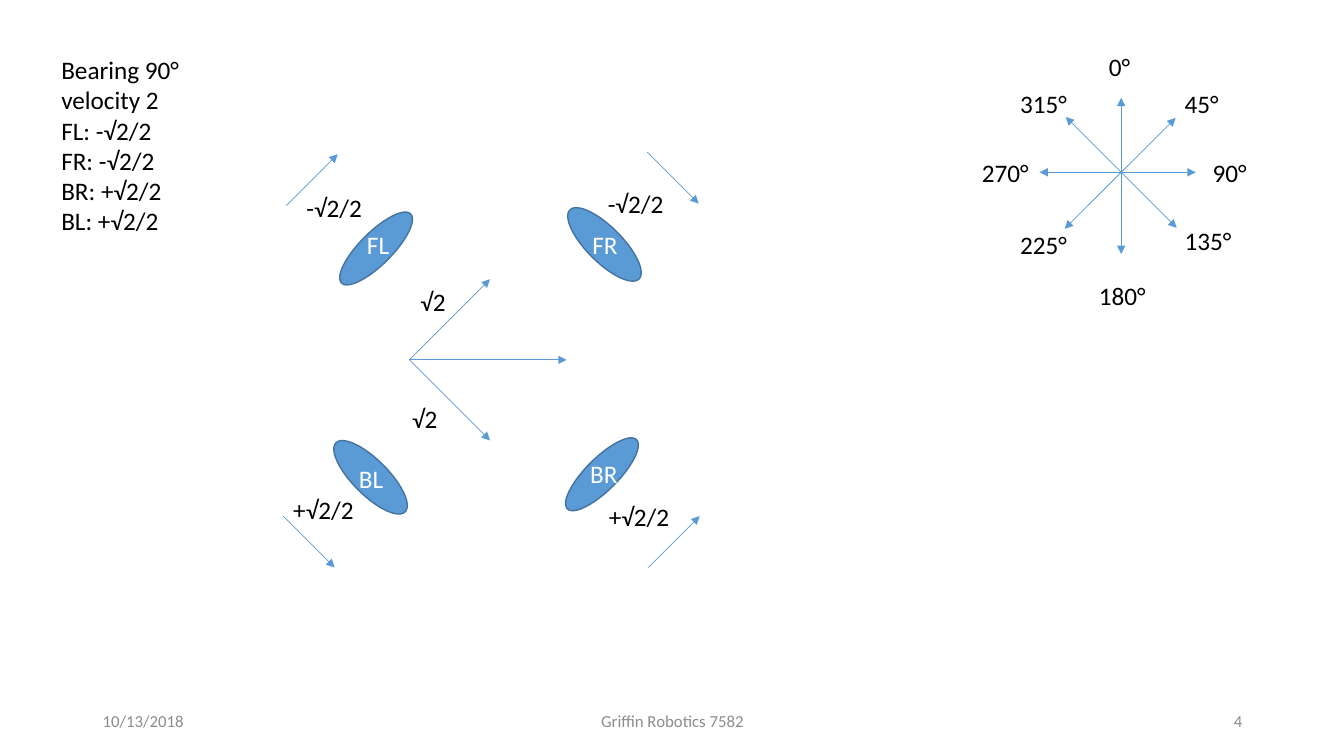
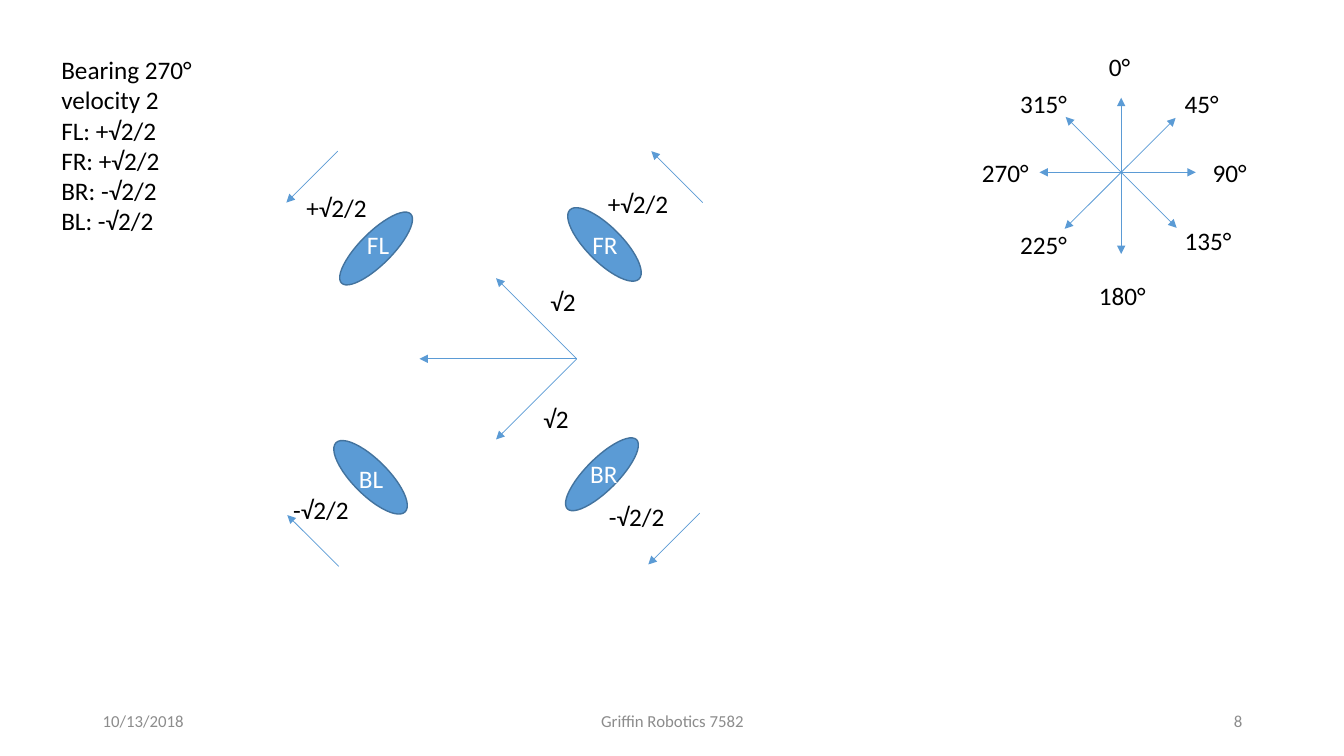
from dataclasses import dataclass
from typing import NamedTuple

from lxml import etree
from pptx import Presentation
from pptx.dml.color import RGBColor
from pptx.enum.shapes import MSO_CONNECTOR, MSO_SHAPE
from pptx.enum.text import MSO_ANCHOR, MSO_AUTO_SIZE, PP_ALIGN
from pptx.oxml.ns import qn
from pptx.slide import Slide
from pptx.text.text import TextFrame
from pptx.util import Inches, Pt

FONT = "Calibri"
BLUE, EDGE, BLACK, WHITE, GREY = "5B9BD5", "43739E", "000000", "FFFFFF", "8C8C8C"
LINE_HEIGHT = 0.4
DATE, TEAM = "10/13/2018", "Griffin Robotics 7582"
CENTRE_X, CENTRE_Y = 4.89, 3.565


class Box(NamedTuple):
    """Left, top, width and height in inches."""

    x: float
    y: float
    w: float
    h: float


class Arrow(NamedTuple):
    """Start point and run of an arrow in inches."""

    x: float
    y: float
    dx: float
    dy: float


class Label(NamedTuple):
    """Short text and its top left corner."""

    text: str
    x: float
    y: float


@dataclass(frozen=True)
class Wheel:
    """A wheel with the places of its name and speed."""

    name: str
    oval: Box
    name_at: tuple[float, float]
    speed_at: tuple[float, float]


@dataclass(frozen=True)
class Bearing:
    """One direction of travel and the wheel speeds it needs."""

    angle: int
    speeds: dict[str, str]
    reverse: bool
    roots: tuple[Label, Label]
    page: int


WHEELS = (
    Wheel("FL", Box(3.57, 1.98, 0.32, 0.97), (3.47, 2.23), (2.94, 1.86)),
    Wheel("FR", Box(5.51, 2.25, 0.97, 0.35), (5.72, 2.23), (5.93, 1.82)),
    Wheel("BR", Box(5.81, 4.22, 0.32, 0.97), (5.71, 4.5), (5.94, 4.92)),
    Wheel("BL", Box(3.19, 4.56, 0.97, 0.35), (3.4, 4.55), (2.81, 4.86)),
)
DRIVE_ARROWS = (
    Arrow(4.06, 3.57, 1.56, 0),
    Arrow(4.06, 3.57, 0.8, -0.8),
    Arrow(4.06, 3.57, 0.8, 0.8),
    Arrow(2.84, 2.04, 0.51, -0.51),
    Arrow(6.42, 1.51, 0.51, 0.51),
    Arrow(6.43, 5.63, 0.51, -0.51),
    Arrow(2.81, 5.12, 0.51, 0.51),
)
COMPASS_ARROWS = (
    Arrow(11.12, 2.52, 0, -1.55),
    Arrow(11.86, 1.71, -1.55, 0),
    Arrow(10.56, 2.27, 1.1, -1.1),
    Arrow(10.57, 1.16, 1.1, 1.1),
)
COMPASS_LABELS = (
    Label("0°", 10.9, 0.46),
    Label("45°", 11.65, 0.83),
    Label("90°", 11.93, 1.51),
    Label("135°", 11.65, 2.19),
    Label("180°", 10.8, 2.73),
    Label("225°", 10.02, 2.23),
    Label("270°", 9.64, 1.51),
    Label("315°", 10.02, 0.83),
)
MINUS, PLUS = "-√2/2", "+√2/2"
BEARINGS = (
    Bearing(90, {"FL": MINUS, "FR": MINUS, "BR": PLUS, "BL": PLUS}, False,
            (Label("√2", 4.07, 2.79), Label("√2", 3.99, 3.95)), 4),
    Bearing(270, {"FL": PLUS, "FR": PLUS, "BR": MINUS, "BL": MINUS}, True,
            (Label("√2", 5.36, 2.79), Label("√2", 5.29, 3.95)), 8),
)


def rgb(value: str) -> RGBColor:
    """Return the colour for a hex string."""
    return RGBColor.from_string(value)


def add_text(s: Slide, box: Box, lines: list[str], color: str = BLACK, size: int = 18,
             align: PP_ALIGN = PP_ALIGN.LEFT, wrap: bool = True) -> TextFrame:
    """Add a text box with one paragraph for each line."""
    tf = s.shapes.add_textbox(*map(Inches, box)).text_frame
    tf.word_wrap = wrap
    tf.auto_size = MSO_AUTO_SIZE.SHAPE_TO_FIT_TEXT
    tf.text = "\n".join(lines)
    for p in tf.paragraphs:
        p.alignment = align
        p.font.name = FONT
        p.font.size = Pt(size)
        p.font.color.rgb = rgb(color)
    return tf


def add_label(s: Slide, label: Label, width: float) -> None:
    """Add a one-line label that does not wrap."""
    add_text(s, Box(label.x, label.y, width, LINE_HEIGHT), [label.text], wrap=False)


def add_arrow(s: Slide, arrow: Arrow, both_ends: bool = False) -> None:
    """Add a thin arrow, pointed at one end or at both."""
    x, y, dx, dy = arrow
    line = s.shapes.add_connector(
        MSO_CONNECTOR.STRAIGHT, Inches(x), Inches(y), Inches(x + dx), Inches(y + dy))
    line.line.color.rgb = rgb(BLUE)
    line.line.width = Pt(0.5)
    ln = line.line._get_or_add_ln()
    for end in ("a:headEnd", "a:tailEnd") if both_ends else ("a:tailEnd",):
        etree.SubElement(ln, qn(end), type="triangle")
    etree.SubElement(line._element.spPr, qn("a:effectLst"))


def add_oval(s: Slide, box: Box) -> None:
    """Add a wheel turned by 45 degrees."""
    sp = s.shapes.add_shape(MSO_SHAPE.OVAL, *map(Inches, box))
    sp.rotation = 45
    sp.shadow.inherit = False
    sp.fill.solid()
    sp.fill.fore_color.rgb = rgb(BLUE)
    sp.line.color.rgb = rgb(EDGE)
    sp.line.width = Pt(1)


def turn_around(arrow: Arrow) -> Arrow:
    """Turn an arrow by 180 degrees about the robot's centre."""
    return Arrow(2 * CENTRE_X - arrow.x, 2 * CENTRE_Y - arrow.y, -arrow.dx, -arrow.dy)


def add_compass(s: Slide) -> None:
    """Draw the compass rose."""
    for arrow in COMPASS_ARROWS:
        add_arrow(s, arrow, both_ends=True)
    for label in COMPASS_LABELS:
        add_label(s, label, 0.17 + 0.125 * len(label.text))


def add_robot(s: Slide, bearing: Bearing) -> None:
    """Draw the wheels, their speeds and the drive arrows."""
    for wheel in WHEELS:
        speed = bearing.speeds[wheel.name]
        add_label(s, Label(speed, *wheel.speed_at), 0.81 if speed == PLUS else 0.76)
        add_oval(s, wheel.oval)
        add_text(s, Box(*wheel.name_at, 0.56, LINE_HEIGHT), [wheel.name], WHITE,
                 align=PP_ALIGN.CENTER)
    for arrow in DRIVE_ARROWS:
        add_arrow(s, turn_around(arrow) if bearing.reverse else arrow)
    for root in bearing.roots:
        add_label(s, root, 0.46)


def add_footer(s: Slide, page: int) -> None:
    """Add the date, the team and the page number."""
    for text, x, w, align in (
        (DATE, 0.92, 3, PP_ALIGN.LEFT),
        (TEAM, 4.42, 4.5, PP_ALIGN.CENTER),
        (str(page), 9.42, 3, PP_ALIGN.RIGHT),
    ):
        tf = add_text(s, Box(x, 6.95, w, LINE_HEIGHT), [text], GREY, 12, align)
        tf.auto_size = MSO_AUTO_SIZE.NONE
        tf.vertical_anchor = MSO_ANCHOR.MIDDLE


def add_bearing_slide(prs: Presentation, bearing: Bearing) -> None:
    """Add the slide for one bearing."""
    s = prs.slides.add_slide(prs.slide_layouts[6])
    speeds = [f"{name}: {speed}" for name, speed in bearing.speeds.items()]
    add_text(s, Box(0.51, 0.49, 2.46, 1.92),
             [f"Bearing {bearing.angle}°", "velocity 2", *speeds])
    add_compass(s)
    add_robot(s, bearing)
    add_footer(s, bearing.page)


def main() -> None:
    """Build and save the presentation."""
    prs = Presentation()
    prs.slide_width, prs.slide_height = Inches(13.33), Inches(7.5)
    for bearing in BEARINGS:
        add_bearing_slide(prs, bearing)
    prs.save("out.pptx")


if __name__ == "__main__":
    main()
